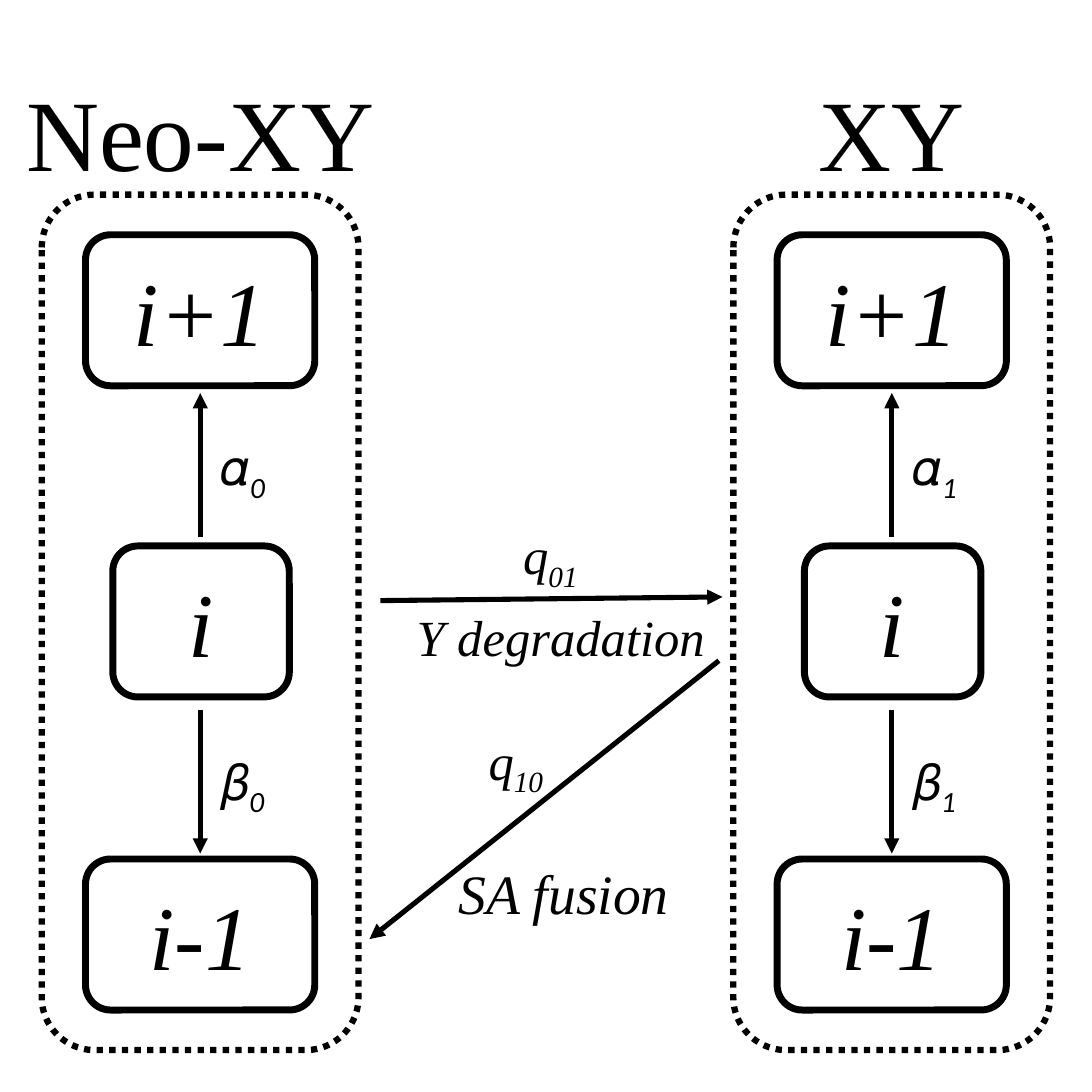
import pptx
import pptx.util
import pptx.dml.color
import pptx.enum.dml
import pptx.enum.shapes
import pptx.enum.text
import pptx.oxml
import pptx.oxml.ns

PX = 9144  # EMU per px, 100 px to the inch
BLACK = pptx.dml.color.RGBColor(0, 0, 0)
WHITE = pptx.dml.color.RGBColor(255, 255, 255)
SERIF = "Times New Roman"
CENTER = pptx.enum.text.PP_ALIGN.CENTER
LEFT = pptx.enum.text.PP_ALIGN.LEFT
MIDDLE = pptx.enum.text.MSO_ANCHOR.MIDDLE
DOTTED = pptx.enum.dml.MSO_LINE.ROUND_DOT
ROUNDED = pptx.enum.shapes.MSO_SHAPE.ROUNDED_RECTANGLE
STRAIGHT = pptx.enum.shapes.MSO_CONNECTOR.STRAIGHT

HEADING = {"name": SERIF, "size": pptx.util.Pt(40)}
STATE = {"name": SERIF, "size": pptx.util.Pt(36), "italic": True}
RATE = {"name": SERIF, "size": pptx.util.Pt(20), "italic": True}
FUSION = {**RATE, "size": pptx.util.Pt(22)}
GREEK = {"name": "Calibri", "size": pptx.util.Pt(20)}


def to_emu(*lengths):
    return [length * PX for length in lengths]


def add_run(paragraph, text, font_format, subscript=False):
    run = paragraph.add_run()
    run.text = text
    run.font.color.rgb = BLACK
    for name, value in font_format.items():
        setattr(run.font, name, value)
    if subscript:
        run.font.italic = True
        run.font._element.set("baseline", "-25000")


def add_label(slide, box, text, font_format, subscript="", alignment=CENTER):
    label = slide.shapes.add_textbox(*to_emu(*box))
    label.text_frame.word_wrap = True
    paragraph = label.text_frame.paragraphs[0]
    paragraph.alignment = alignment
    add_run(paragraph, text, font_format)
    if subscript:
        add_run(paragraph, subscript, font_format, subscript=True)


def add_rounded_box(slide, box, line_width, text="", dash=None):
    shape = slide.shapes.add_shape(ROUNDED, *to_emu(*box))
    shape.shadow.inherit = False
    shape.fill.solid()
    shape.fill.fore_color.rgb = WHITE
    shape.line.color.rgb = BLACK
    shape.line.width = pptx.util.Pt(line_width)
    if dash:
        shape.line.dash_style = dash
    if text:
        shape.text_frame.vertical_anchor = MIDDLE
        paragraph = shape.text_frame.paragraphs[0]
        paragraph.alignment = CENTER
        add_run(paragraph, text, STATE)


def add_arrow(slide, start, end):
    arrow = slide.shapes.add_connector(STRAIGHT, *to_emu(*start, *end))
    arrow.line.color.rgb = BLACK
    arrow.line.width = pptx.util.Pt(2)
    head = pptx.oxml.parse_xml(
        f'<a:tailEnd {pptx.oxml.ns.nsdecls("a")} type="triangle"/>')
    arrow.line._get_or_add_ln().append(head)
    effects = pptx.oxml.parse_xml(
        f'<a:effectLst {pptx.oxml.ns.nsdecls("a")}/>')
    arrow._element.spPr.append(effects)


def add_chromosome_system(slide, box, heading, heading_width, index):
    left, top, width, height = box
    center = left + width // 2
    add_label(slide, (center - heading_width // 2, top - 73, heading_width, 77),
              heading, HEADING)
    add_rounded_box(slide, box, 2.5, dash=DOTTED)
    # Chromosome-number states
    for text, offset, state_width in (
            ("i+1", 22, 126), ("i", 193, 97), ("i-1", 365, 126)):
        add_rounded_box(
            slide, (center - state_width // 2, top + offset, state_width, 83),
            2.75, text)
    # Gain and loss rates
    for symbol, start, end, label_top in (
            ("𝛼", 188, 109, 127), ("𝛽", 283, 362, 300)):
        add_arrow(slide, (center, top + start), (center, top + end))
        add_label(slide, (center - 8, top + label_top, 63, 44),
                  symbol, GREEK, index)


def add_transitions(slide, box):
    left, top, width, height = box
    # Neo-XY to XY
    add_arrow(slide, (left + 6, top + 2), (left + width - 3, top))
    add_label(slide, (left + 68, top - 45, 63, 44), "q", RATE, "01")
    add_label(slide, (left + 16, top, 181, 44), "Y degradation", RATE,
              alignment=LEFT)
    # XY to Neo-XY
    add_arrow(slide, (left + width - 5, top + 35), (left, top + height))
    add_label(slide, (left + 49, top + 68, 63, 44), "q", RATE, "10")
    add_label(slide, (left + 39, top + 139, 181, 47), "SA fusion", FUSION,
              alignment=LEFT)


def main():
    presentation = pptx.Presentation()
    presentation.slide_width, presentation.slide_height = to_emu(600, 600)
    slide = presentation.slides.add_slide(presentation.slide_layouts[6])
    for left, heading, heading_width, index in (
            (23, "Neo-XY", 216, "0"), (403, "XY", 110, "1")):
        add_chromosome_system(slide, (left, 107, 174, 470),
                              heading, heading_width, index)
    add_transitions(slide, (203, 328, 197, 188))
    presentation.save("out.pptx")


if __name__ == "__main__":
    main()
